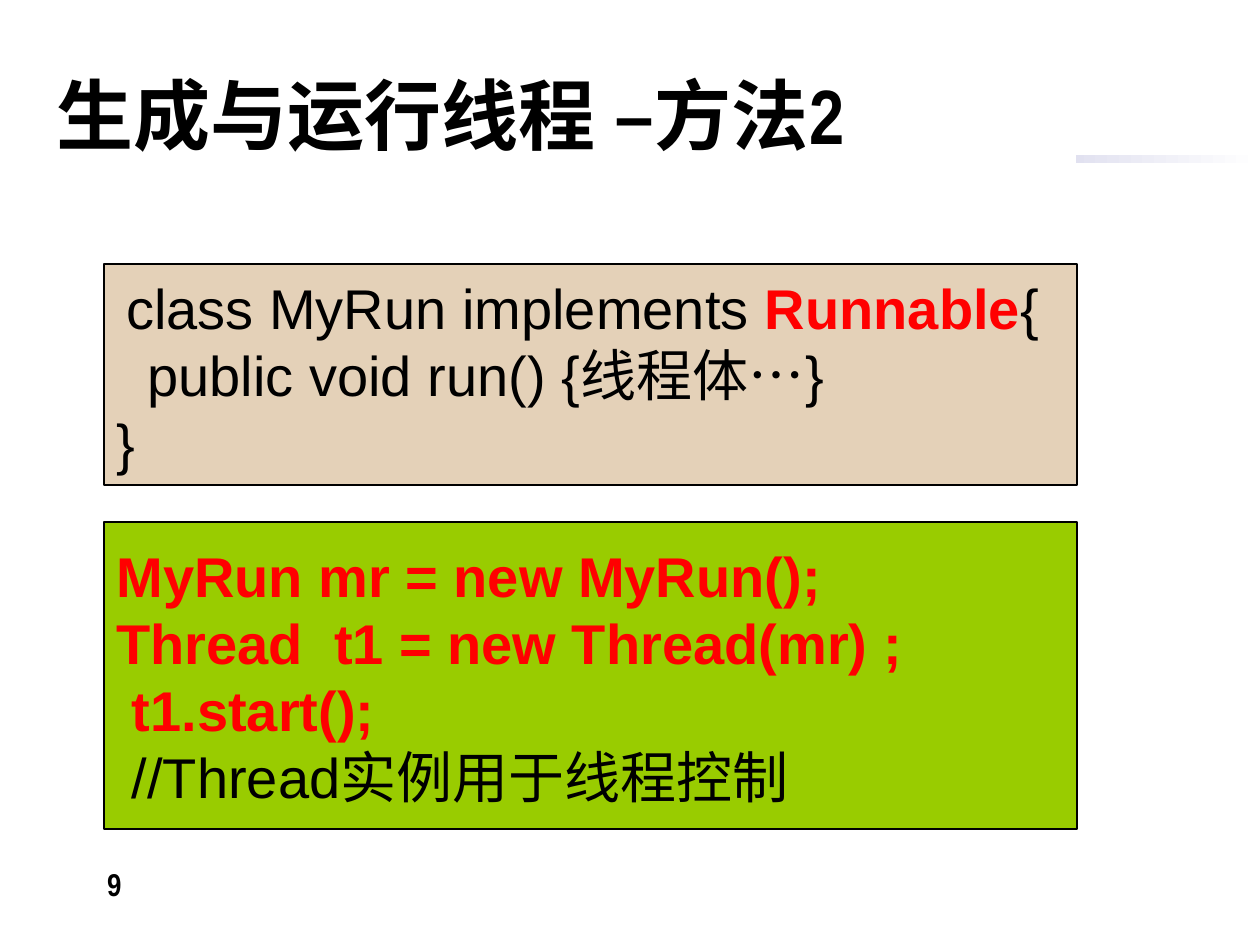
from dataclasses import dataclass

from pptx import Presentation
from pptx.dml.color import RGBColor
from pptx.enum.lang import MSO_LANGUAGE_ID as LANG
from pptx.enum.shapes import MSO_SHAPE as SHAPE
from pptx.enum.text import MSO_ANCHOR as ANCHOR, MSO_AUTO_SIZE as AUTO, PP_ALIGN as ALIGN
from pptx.util import Inches, Pt

PX = Inches(1) / 126


@dataclass(frozen=True)
class Theme:
    black: str = "000000"
    white: str = "FFFFFF"
    red: str = "FF0000"
    indigo: str = "333399"
    tan: str = "E4D1B8"
    green: str = "99CC00"
    code_font: str = "Arial"
    head_font: str = "Arial Narrow"
    title_size: int = 44
    code_size: int = 32
    number_size: int = 18


class Deck:
    def __init__(self, theme):
        self.theme = theme
        self.prs = Presentation()
        self.prs.slide_width, self.prs.slide_height = Inches(10), Inches(7.5)
        self.slide = self.prs.slides.add_slide(self.prs.slide_layouts[5])

    def box(self, *px):
        return [round(v * PX) for v in px]

    def rect(self, *px):
        sp = self.slide.shapes.add_shape(SHAPE.RECTANGLE, *self.box(*px))
        sp.shadow.inherit = False
        return sp

    def fill(self, sp, color):
        sp.fill.solid()
        sp.fill.fore_color.rgb = RGBColor.from_string(color)

    def run(self, p, text, size, font, color, bold):
        r = p.add_run()
        r.text = text
        r.font.name, r.font.size, r.font.bold = font, Pt(size), bold
        r.font.color.rgb = RGBColor.from_string(color)
        r.font.language_id = LANG.SIMPLIFIED_CHINESE

    def frame(self, sp, anchor):
        tf = sp.text_frame
        tf.word_wrap, tf.auto_size, tf.vertical_anchor = True, AUTO.NONE, anchor
        return tf

    def rule(self, *px):
        sp = self.rect(*px)
        sp.line.fill.background()
        sp.fill.gradient()
        sp.fill.gradient_angle = 0
        for stop, color in zip(sp.fill.gradient_stops, (self.theme.indigo, self.theme.white)):
            stop.color.rgb = RGBColor.from_string(color)

    def title(self, text, *px):
        t = self.theme
        sp = self.slide.shapes.title
        sp.left, sp.top, sp.width, sp.height = self.box(*px)
        self.fill(sp, t.white)
        p = self.frame(sp, ANCHOR.MIDDLE).paragraphs[0]
        p.alignment = ALIGN.LEFT
        self.run(p, text, t.title_size, t.head_font, t.black, True)

    def code(self, lines, color, *px):
        t = self.theme
        sp = self.rect(*px)
        self.fill(sp, color)
        sp.line.color.rgb = RGBColor.from_string(t.black)
        sp.line.width = Pt(0.75)
        tf = self.frame(sp, ANCHOR.MIDDLE)
        for i, (align, runs) in enumerate(lines):
            p = tf.add_paragraph() if i else tf.paragraphs[0]
            p.alignment = align
            for text, strong in runs:
                ink = t.red if strong else t.black
                self.run(p, text, t.code_size, t.code_font, ink, strong)

    def number(self, text, *px):
        t = self.theme
        sp = self.slide.shapes.add_textbox(*self.box(*px))
        p = self.frame(sp, ANCHOR.TOP).paragraphs[0]
        p.alignment = ALIGN.CENTER
        self.run(p, text, t.number_size, t.head_font, t.black, True)


def main():
    theme = Theme()
    deck = Deck(theme)
    deck.rule(62, 155, 1198, 8)
    title = deck.slide.shapes.title.element
    title.getparent().append(title)
    deck.title("生成与运行线程 –方法2", 44, 55, 1032, 118)
    deck.code([
        (ALIGN.LEFT, [("MyRun mr = new MyRun();", True)]),
        (ALIGN.LEFT, [("Thread  t1 = new Thread(mr) ;", True)]),
        (ALIGN.LEFT, [(" t1.start();", True)]),
        (ALIGN.LEFT, [(" //Thread实例用于线程控制", False)]),
    ], theme.green, 104, 522, 973, 307)
    deck.code([
        (ALIGN.CENTER, [("class MyRun implements ", False), ("Runnable", True), ("{ ", False)]),
        (ALIGN.LEFT, [("  public void run() {线程体…}", False)]),
        (ALIGN.LEFT, [("}", False)]),
    ], theme.tan, 104, 264, 973, 221)
    deck.number("9", 25, 859, 179, 66)
    deck.prs.save("out.pptx")


if __name__ == "__main__":
    main()
